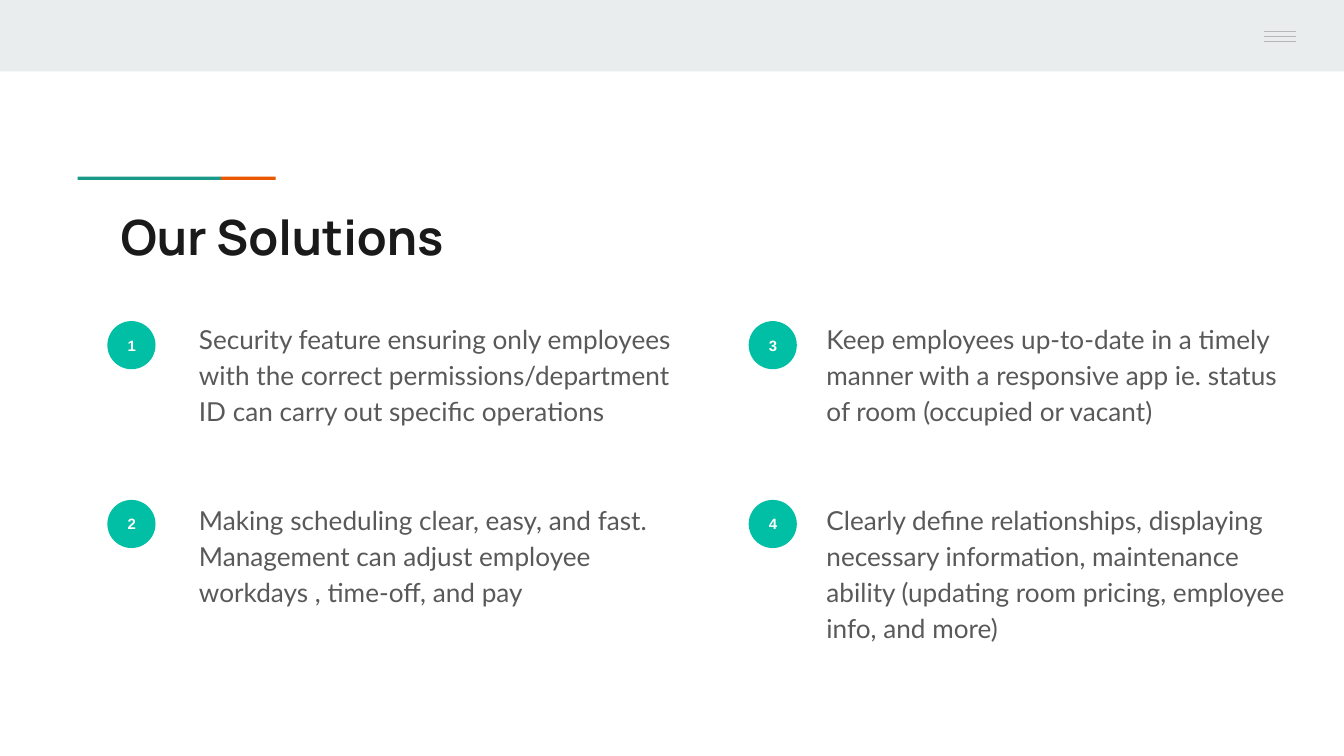
from pptx import Presentation
from pptx.dml.color import RGBColor
from pptx.enum.shapes import MSO_CONNECTOR, MSO_SHAPE
from pptx.enum.text import MSO_ANCHOR, PP_ALIGN
from pptx.oxml.ns import qn
from pptx.util import Cm, Pt
from lxml.etree import SubElement

THEME = {
    "band": "E9EDEE", "teal": "1A9988", "orange": "EB5600",
    "menu": "B7B7B7", "badge": "00BFA5",
    "title": ({"name": "Manrope", "size": Pt(26), "bold": True}, "1A1A1A"),
    "body": ({"name": "Lato", "size": Pt(14), "bold": False}, "595959"),
    "number": ({"name": "Arial", "size": Pt(8), "bold": True}, "FFFFFF"),
}

deck = Presentation()
deck.slide_width, deck.slide_height = Cm(25.4), Cm(14.29)
slide = deck.slides.add_slide(deck.slide_layouts[6])
shapes = slide.shapes


def add_block(kind, box, color):
    block = shapes.add_shape(kind, *map(Cm, box))
    block.shadow.inherit = False
    block.fill.solid()
    block.fill.fore_color.rgb = RGBColor.from_string(THEME[color])
    block.line.fill.background()
    return block


def set_text(shape, text, style, anchor=MSO_ANCHOR.TOP, **layout):
    """Write one paragraph; layout holds its paragraph attributes."""
    frame = shape.text_frame
    frame.word_wrap = True
    frame.vertical_anchor = anchor
    for side in ("left", "top", "right", "bottom"):
        setattr(frame, f"margin_{side}", Cm(0.25))
    para = frame.paragraphs[0]
    for name, value in layout.items():
        setattr(para, name, value)
    run = para.add_run()
    run.text = text
    values, color = THEME[style]
    for name, value in values.items():
        setattr(run.font, name, value)
    run.font.color.rgb = RGBColor.from_string(color)


# Top band with its menu icon
add_block(MSO_SHAPE.RECTANGLE, (0, 0, 25.4, 1.35), "band")
for row in range(3):
    top = Cm(0.6 + 0.09 * row)
    line = shapes.add_connector(MSO_CONNECTOR.STRAIGHT, Cm(23.88), top, Cm(24.49), top)
    line.line.color.rgb = RGBColor.from_string(THEME["menu"])
    line.line.width = Pt(0.75)
    SubElement(line._element.spPr, qn("a:effectLst"))

# Title under a two-colour rule
for left, width, color in ((1.47, 2.71, "teal"), (4.18, 1.03, "orange")):
    add_block(MSO_SHAPE.RECTANGLE, (left, 3.34, width, 0.06), color)
title = shapes.add_textbox(Cm(2.03), Cm(3.66), Cm(21.36), Cm(1.5))
set_text(title, "Our Solutions", "title")

# Numbered solutions, down each column in turn
points = iter((
    "Security feature ensuring only employees with the correct "
    "permissions/department ID can carry out specific operations",
    "Making scheduling clear, easy, and fast. Management can adjust "
    "employee workdays , time-off, and pay",
    "Keep employees up-to-date in a timely manner with a responsive app "
    "ie. status of room (occupied or vacant)",
    "Clearly define relationships, displaying necessary information, "
    "maintenance ability (updating room pricing, employee info, and more)",
))
columns = ((2.03, 3.51, 9.47), (14.15, 15.37, 9.19))
rows = ((6.07, 5.77), (9.45, 9.19))
number = 0
for badge_left, left, width in columns:
    for badge_top, top in rows:
        number += 1
        badge = add_block(MSO_SHAPE.OVAL, (badge_left, badge_top, 0.91, 0.91), "badge")
        set_text(badge, str(number), "number", MSO_ANCHOR.MIDDLE,
                 alignment=PP_ALIGN.CENTER)
        body = shapes.add_textbox(Cm(left), Cm(top), Cm(width), Cm(2.92))
        set_text(body, next(points), "body", line_spacing=1.15, space_after=Pt(16))

deck.save("out.pptx")
